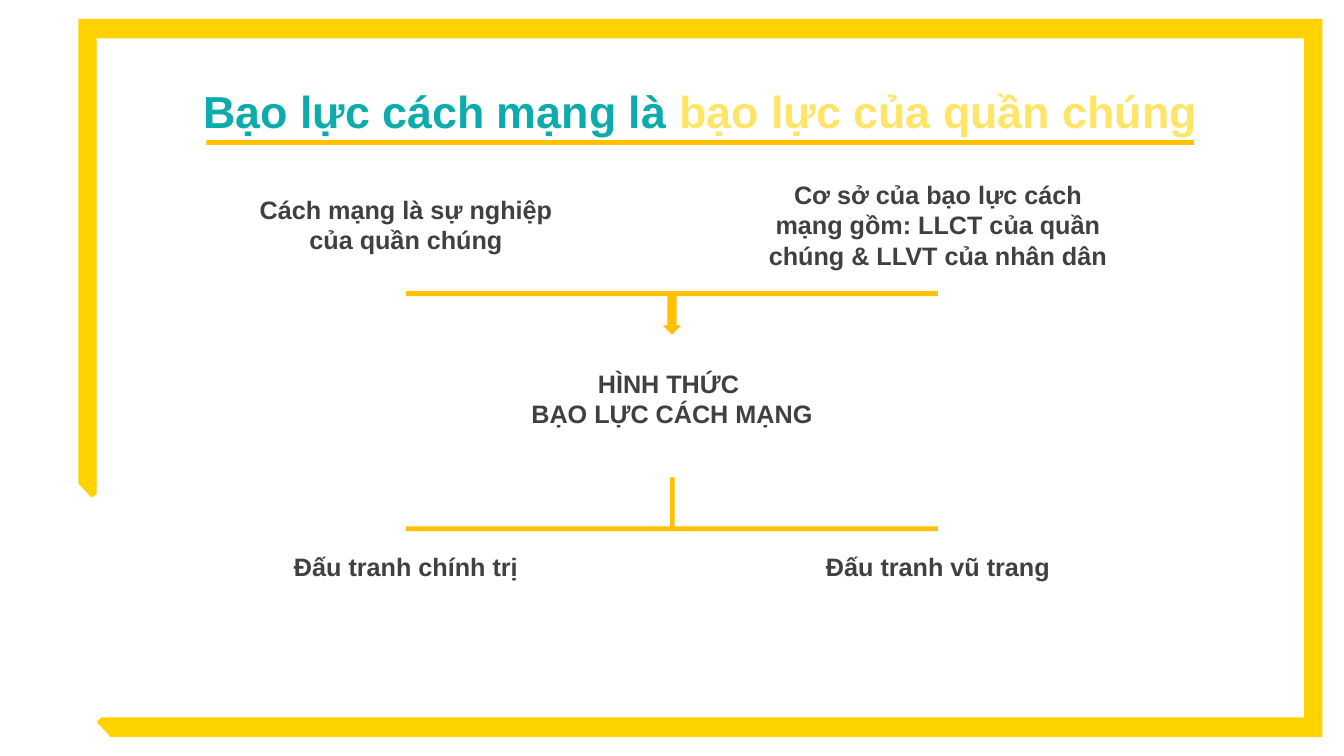
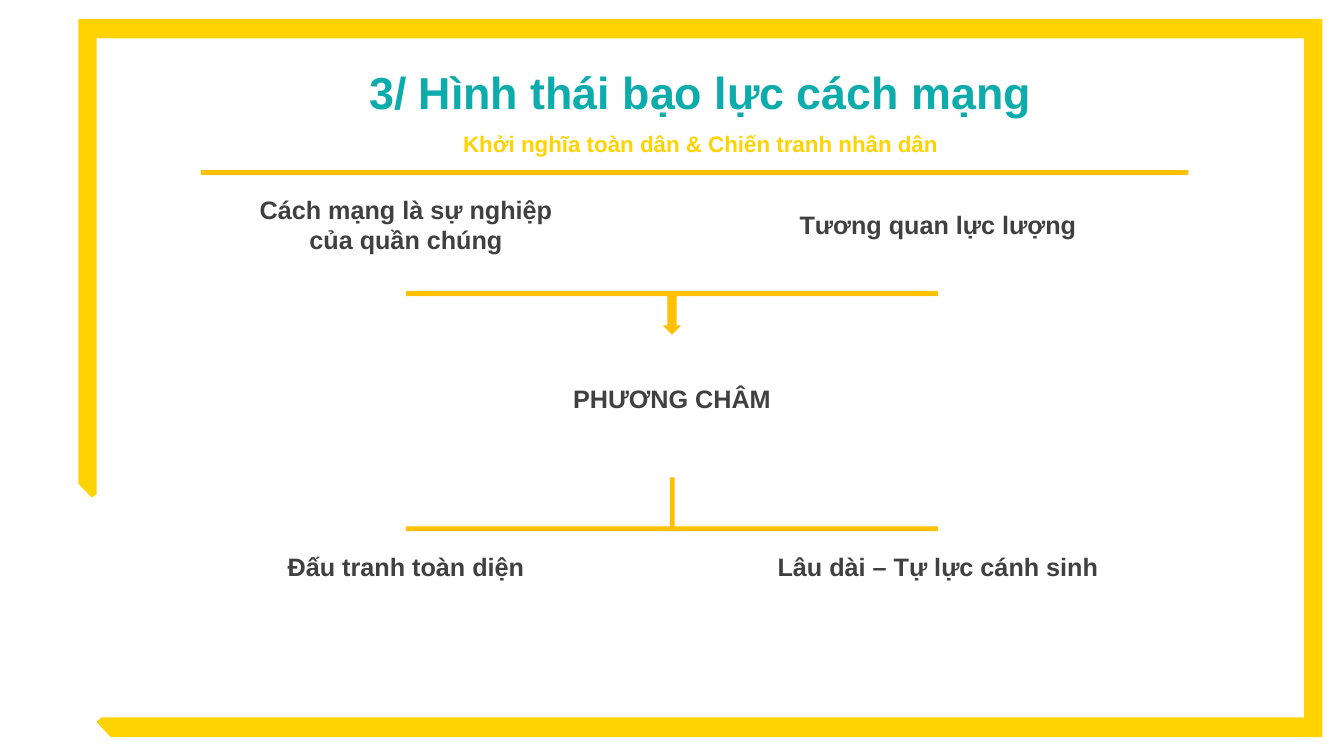
"""Build two framed slides on revolutionary violence."""
from dataclasses import dataclass

from pptx import Presentation
from pptx.dml.color import RGBColor
from pptx.enum import shapes, text
from pptx.util import Pt

PX = 6350
WIDTH, HEIGHT = 1920, 1080
LEFT, RIGHT = 580, 1340
MID = (LEFT + RIGHT) // 2
BAR = 7
FRAME = [(112, 27), (1889, 27), (1889, 1053), (158, 1053), (138, 1031),
         (145, 1025), (1863, 1025), (1863, 55), (138, 55), (138, 706),
         (131, 711), (112, 691)]


@dataclass(frozen=True)
class Theme:
    """Hold the colours, type sizes and font."""
    teal: str = "0DACAC"
    pale: str = "FFE567"
    gold: str = "FFD302"
    amber: str = "FFC000"
    ink: str = "404040"
    head: int = 32
    sub: int = 16
    body: int = 18
    font: str = "Arial"


@dataclass(frozen=True)
class Label:
    """Describe one centred label."""
    words: str
    width: int = 450
    rows: int = 1


THEME = Theme()


def scale(*sizes):
    """Turn px into EMU."""
    return [size * PX for size in sizes]


def paint(shape, color):
    """Give a shape a flat fill without line or shadow."""
    shape.shadow.inherit = False
    shape.fill.solid()
    shape.fill.fore_color.rgb = RGBColor.from_string(color)
    shape.line.fill.background()


def style(para, size, color=None):
    """Centre a paragraph and set its bold font."""
    para.alignment = text.PP_ALIGN.CENTER
    para.font.name = THEME.font
    para.font.size = Pt(size)
    para.font.bold = True
    if color:
        para.font.color.rgb = RGBColor.from_string(color)


def add_frame(slide):
    """Draw the open frame."""
    pen = slide.shapes.build_freeform(*FRAME[0], scale=PX)
    pen.add_line_segments(FRAME[1:])
    paint(pen.convert_to_shape(), THEME.gold)


def add_block(slide, x, y, w, h, kind=shapes.MSO_SHAPE.RECTANGLE):
    """Draw a flat amber shape."""
    paint(slide.shapes.add_shape(kind, *scale(x, y, w, h)), THEME.amber)


def add_label(slide, x, y, label):
    """Write a label centred on a point."""
    w, h = label.width, 14 + 44 * label.rows
    box = slide.shapes.add_textbox(*scale(x - w // 2, y - h // 2, w, h))
    frame = box.text_frame
    frame.word_wrap = True
    frame.vertical_anchor = text.MSO_ANCHOR.MIDDLE
    frame.text = label.words
    for para in frame.paragraphs:
        style(para, THEME.body, THEME.ink)


def set_title(slide):
    """Place the title and return its first paragraph."""
    title = slide.shapes.title
    title.left, title.top, title.width, title.height = scale(140, 84, 1722, 157)
    frame = title.text_frame
    frame.auto_size = text.MSO_AUTO_SIZE.NONE
    frame.vertical_anchor = text.MSO_ANCHOR.MIDDLE
    para = frame.paragraphs[0]
    para.line_spacing = 0.9
    return para


def split_title(slide, *parts):
    """Write a one-line title in several colours."""
    para = set_title(slide)
    style(para, THEME.head)
    for words, color in parts:
        run = para.add_run()
        run.text = words
        run.font.color.rgb = RGBColor.from_string(color)


def stack_title(slide, head, sub):
    """Write a title with a smaller line below."""
    para = set_title(slide)
    para.text = head
    style(para, THEME.head, THEME.teal)
    below = slide.shapes.title.text_frame.add_paragraph()
    below.text = sub
    below.line_spacing = 0.9
    below.space_before = Pt(10)
    style(below, THEME.sub, THEME.gold)


def add_chain(slide, causes, core, results):
    """Draw two causes leading to a core and its two results."""
    for y in (416, 752):
        add_block(slide, LEFT, y, RIGHT - LEFT, BAR)
    add_block(slide, MID - 13, 416, 26, 62, shapes.MSO_SHAPE.DOWN_ARROW)
    add_block(slide, MID - BAR // 2, 682, BAR, 77)
    for y, pair in ((321, causes), (809, results)):
        for x, label in zip((LEFT, RIGHT), pair):
            add_label(slide, x, y, label)
    add_label(slide, MID, 569, core)


def main():
    """Build and save the deck."""
    deck = Presentation()
    deck.slide_width, deck.slide_height = scale(WIDTH, HEIGHT)
    layout = deck.slide_layouts[5]
    cause = Label("Cách mạng là sự nghiệp\ncủa quần chúng", rows=2)

    force = deck.slides.add_slide(layout)
    add_frame(force)
    split_title(force, ("Bạo lực cách mạng là ", THEME.teal),
                ("bạo lực của quần chúng", THEME.pale))
    add_block(force, 295, 200, 1411, BAR)
    basis = Label("Cơ sở của bạo lực cách mạng gồm: LLCT của quần chúng "
                  "& LLVT của nhân dân", 528, 3)
    add_chain(force, (cause, basis),
              Label("HÌNH THỨC \nBẠO LỰC CÁCH MẠNG", rows=2),
              (Label("Đấu tranh chính trị"), Label("Đấu tranh vũ trang")))

    form = deck.slides.add_slide(layout)
    add_frame(form)
    stack_title(form, "3/ Hình thái bạo lực cách mạng",
                "Khởi nghĩa toàn dân & Chiến tranh nhân dân")
    add_block(form, 287, 243, 1411, BAR)
    add_chain(form, (cause, Label("Tương quan lực lượng", 528)),
              Label("PHƯƠNG CHÂM"),
              (Label("Đấu tranh toàn diện"),
               Label("Lâu dài – Tự lực cánh sinh", 488)))
    deck.save("out.pptx")


if __name__ == "__main__":
    main()
